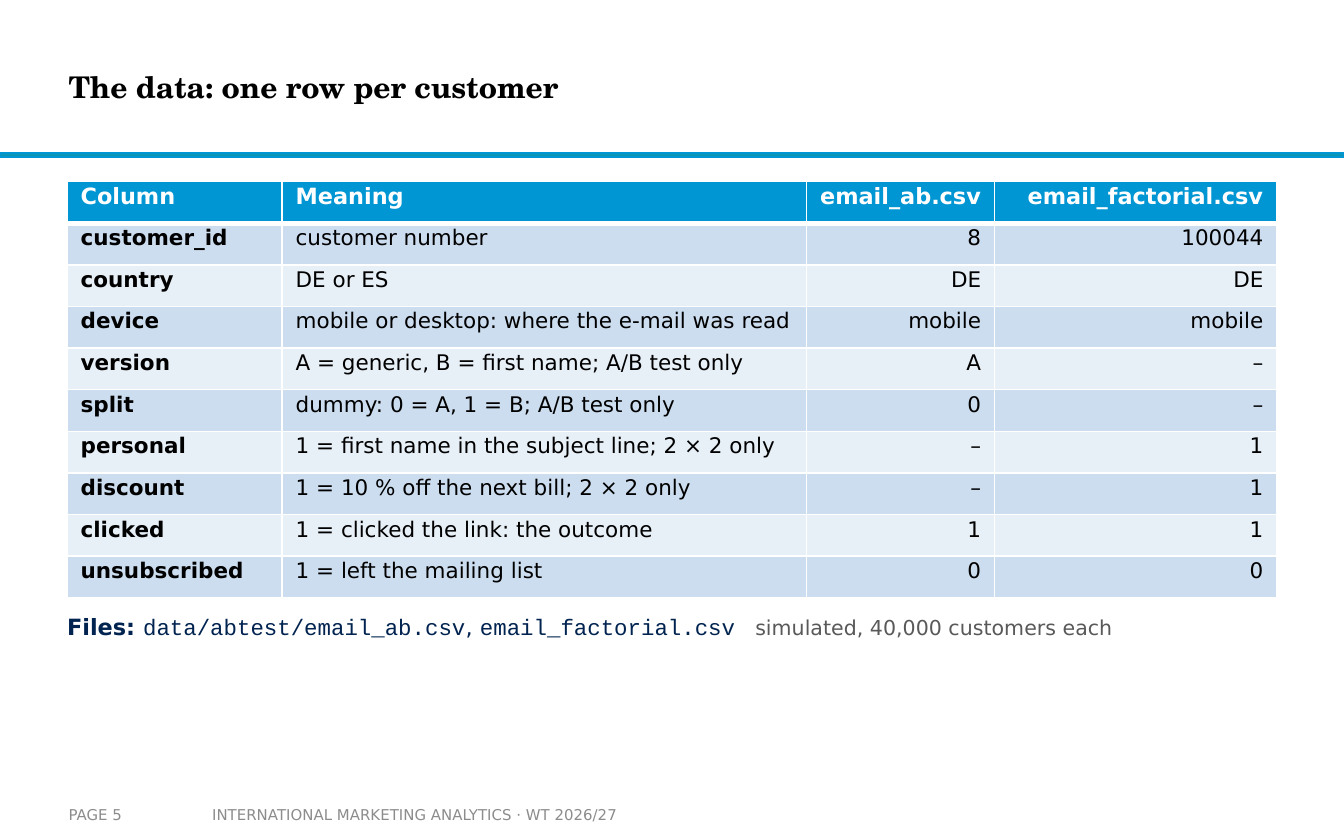
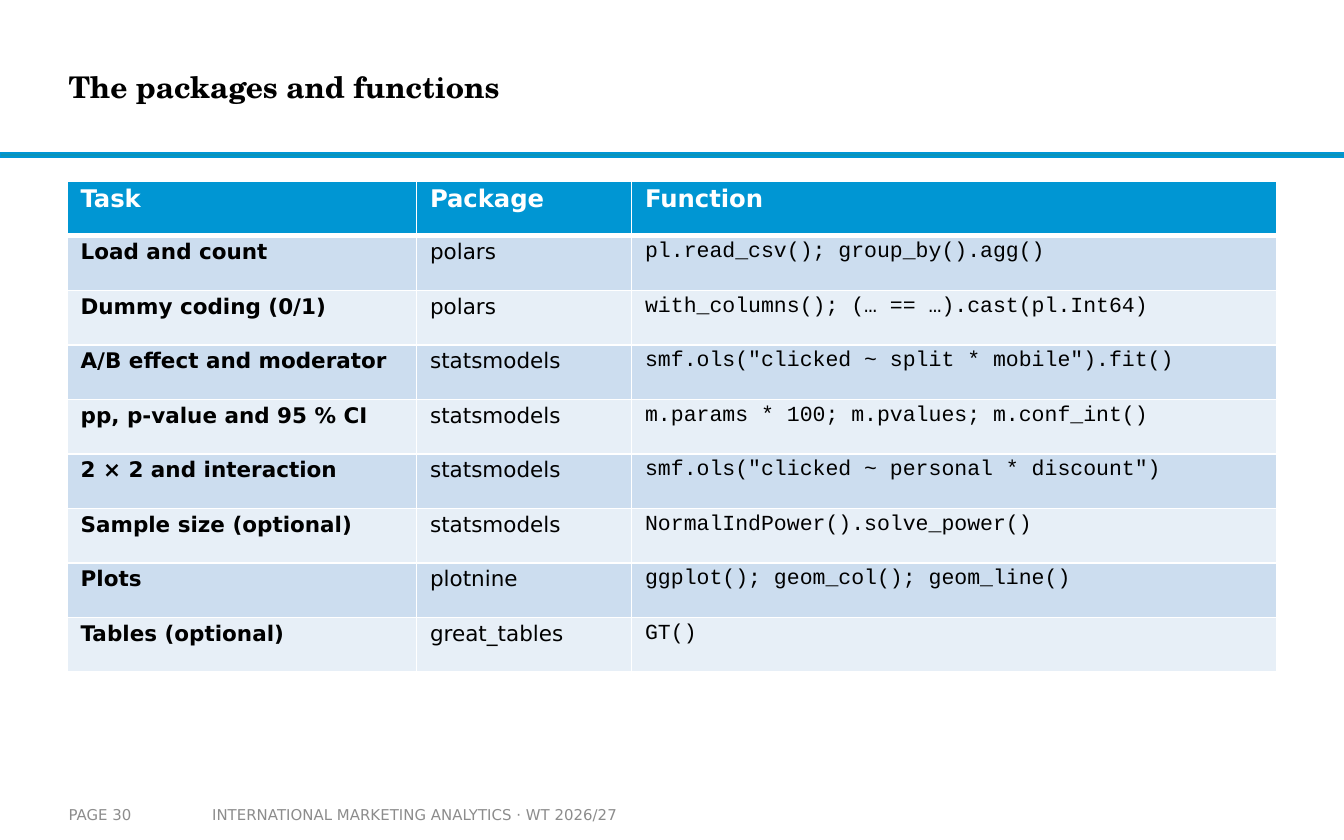
from dataclasses import dataclass

from lxml import etree
from pptx import Presentation
from pptx import util as u
from pptx.dml.color import RGBColor
from pptx.enum import shapes, text
from pptx.oxml import ns


@dataclass(frozen=True)
class Theme:
    # Colours
    band: str = "0C94B7"
    head: str = "0096D3"
    dark: str = "CCDDEF"
    light: str = "E7EFF7"
    white: str = "FFFFFF"
    ink: str = "000000"
    navy: str = "002350"
    gray: str = "595959"
    pale: str = "8C8C8C"
    # Fonts
    serif: str = "TeX Gyre Schola"
    sans: str = "DejaVu Sans"
    mono: str = "Courier New"
    # Type sizes
    title: float = 16
    body: float = 11.5
    files: float = 12
    note: float = 11
    foot: float = 8


COURSE = "INTERNATIONAL MARKETING ANALYTICS · WT 2026/27"
LEFT, RIGHT = text.PP_ALIGN.LEFT, text.PP_ALIGN.RIGHT


def style(font, face, size, color, bold=False):
    font.name, font.size, font.bold = face, u.Pt(size), bold
    font.color.rgb = RGBColor.from_string(color)


def paint(fill, color):
    fill.solid()
    fill.fore_color.rgb = RGBColor.from_string(color)


def margin(frame, side, top):
    frame.margin_left = frame.margin_right = u.Inches(side)
    frame.margin_top = frame.margin_bottom = u.Inches(top)


def border(cell, edge, color, width):
    line = etree.SubElement(cell._tc.get_or_add_tcPr(), ns.qn(f"a:ln{edge}"), w=str(u.Pt(width)))
    fill = etree.SubElement(line, ns.qn("a:solidFill"))
    etree.SubElement(fill, ns.qn("a:srgbClr"), val=color)


class Deck:
    def __init__(self, theme):
        self.theme = theme
        self.prs = Presentation()
        self.prs.slide_width, self.prs.slide_height = u.Inches(10), u.Inches(6.25)
        self.slide = None

    def start(self, title, page):
        """Add a slide with its band, title and footer."""
        t = self.theme
        self.slide = self.prs.slides.add_slide(self.prs.slide_layouts[5])
        self.band()
        self.title(title)
        self.label(COURSE, 1.48, 3.52, 0.1)
        self.label(f"PAGE {page}", 0.51, 0.98, 0)

    def band(self):
        t = self.theme
        bar = self.slide.shapes.add_shape(
            shapes.MSO_SHAPE.RECTANGLE, 0, u.Inches(1.14), u.Inches(10), u.Inches(0.03))
        bar.shadow.inherit = False
        paint(bar.fill, t.band)
        paint(bar.line.fill, t.head)
        bar.line.width = u.Pt(1)

    def title(self, words):
        t = self.theme
        box = self.slide.shapes.title
        box.left, box.top = u.Inches(0.51), u.Inches(0.15)
        box.width, box.height = u.Inches(7.48), u.Inches(0.99)
        frame = box.text_frame
        frame.text = words
        frame.auto_size = text.MSO_AUTO_SIZE.NONE
        frame.vertical_anchor = text.MSO_ANCHOR.MIDDLE
        margin(frame, 0, 0)
        para = frame.paragraphs[0]
        para.alignment = LEFT
        style(para.font, t.serif, t.title, t.ink, True)

    def box(self, left, top, width, height, side, inset):
        """Add an empty text box and return its first paragraph."""
        frame = self.slide.shapes.add_textbox(
            u.Inches(left), u.Inches(top), u.Inches(width), u.Inches(height)).text_frame
        frame.word_wrap = True
        frame.vertical_anchor = text.MSO_ANCHOR.MIDDLE
        margin(frame, side, inset)
        return frame.paragraphs[0]

    def label(self, words, left, width, side):
        t = self.theme
        para = self.box(left, 5.92, width, 0.28, side, 0.05)
        para.text = words
        style(para.font, t.sans, t.foot, t.pale)

    def line(self, runs, top, tab):
        """Add a line of mixed runs with one tab stop."""
        para = self.box(0.5, top, 9, 0.32, 0, 0)
        stops = etree.SubElement(para._p.get_or_add_pPr(), ns.qn("a:tabLst"))
        etree.SubElement(stops, ns.qn("a:tab"), pos=str(u.Inches(tab)), algn="l")
        para.space_after = u.Pt(4)
        for words, *look in runs:
            run = para.add_run()
            run.text = words
            style(run.font, *look)

    def table(self, rows, widths, height, size, inset, right=(), code=()):
        """Add a banded table; right and code list special columns."""
        t = self.theme
        grid = self.slide.shapes.add_table(
            len(rows), len(widths), u.Inches(0.5), u.Inches(1.35),
            u.Inches(sum(widths)), u.Inches(height)).table
        for col, width in zip(grid.columns, widths):
            col.width = u.Inches(width)
        for r, row in enumerate(rows):
            for c, words in enumerate(row):
                cell = grid.cell(r, c)
                margin(cell, 0.1, inset)
                para = cell.text_frame.paragraphs[0]
                para.text = words
                para.alignment = RIGHT if c in right else LEFT
                if r == 0:
                    for edge in "LRTB":
                        border(cell, edge, t.white, 3 if edge == "B" else 1)
                    paint(cell.fill, t.head)
                    style(para.font, t.sans, size, t.white, True)
                else:
                    paint(cell.fill, t.dark if r % 2 else t.light)
                    face = t.mono if c in code else t.sans
                    style(para.font, face, t.body, t.ink, c == 0)


DATA = [
    ("Column", "Meaning", "email_ab.csv", "email_factorial.csv"),
    ("customer_id", "customer number", "8", "100044"),
    ("country", "DE or ES", "DE", "DE"),
    ("device", "mobile or desktop: where the e-mail was read", "mobile", "mobile"),
    ("version", "A = generic, B = first name; A/B test only", "A", "–"),
    ("split", "dummy: 0 = A, 1 = B; A/B test only", "0", "–"),
    ("personal", "1 = first name in the subject line; 2 × 2 only", "–", "1"),
    ("discount", "1 = 10 % off the next bill; 2 × 2 only", "–", "1"),
    ("clicked", "1 = clicked the link: the outcome", "1", "1"),
    ("unsubscribed", "1 = left the mailing list", "0", "0"),
]

TASKS = [
    ("Task", "Package", "Function"),
    ("Load and count", "polars", "pl.read_csv(); group_by().agg()"),
    ("Dummy coding (0/1)", "polars", "with_columns(); (… == …).cast(pl.Int64)"),
    ("A/B effect and moderator", "statsmodels", 'smf.ols("clicked ~ split * mobile").fit()'),
    ("pp, p-value and 95 % CI", "statsmodels", "m.params * 100; m.pvalues; m.conf_int()"),
    ("2 × 2 and interaction", "statsmodels", 'smf.ols("clicked ~ personal * discount")'),
    ("Sample size (optional)", "statsmodels", "NormalIndPower().solve_power()"),
    ("Plots", "plotnine", "ggplot(); geom_col(); geom_line()"),
    ("Tables (optional)", "great_tables", "GT()"),
]


def main():
    t = Theme()
    deck = Deck(t)

    # Data columns
    deck.start("The data: one row per customer", 5)
    deck.table(DATA, (1.6, 3.9, 1.4, 2.1), 3.1, 12, 0.02, right=(2, 3))
    deck.line([
        ("Files: ", t.sans, t.files, t.navy, True),
        ("data/abtest/email_ab.csv", t.mono, t.files, t.navy),
        (", ", t.sans, t.files, t.navy),
        ("email_factorial.csv", t.mono, t.files, t.navy),
        ("\tsimulated, 40,000 customers each", t.sans, t.note, t.gray),
    ], 4.5, 5.12)

    # Packages
    deck.start("The packages and functions", 30)
    deck.table(TASKS, (2.6, 1.6, 4.8), 3.65, 13, 0.03, code=(2,))

    deck.prs.save("out.pptx")


if __name__ == "__main__":
    main()
